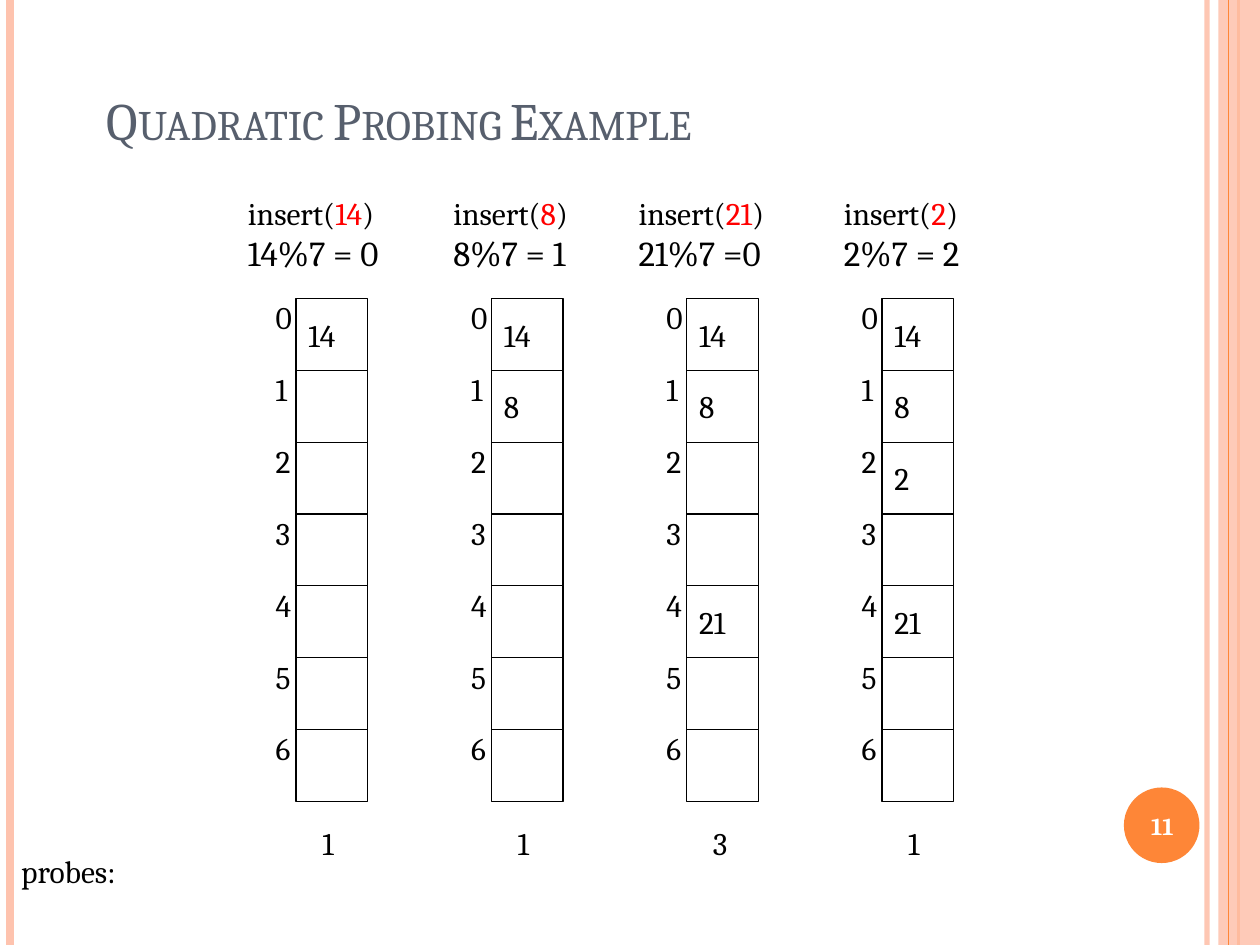
from lxml import etree
from pptx import Presentation
from pptx.dml.color import RGBColor
from pptx.enum.shapes import MSO_CONNECTOR, MSO_SHAPE
from pptx.enum.text import MSO_ANCHOR, MSO_AUTO_SIZE, PP_ALIGN
from pptx.oxml.ns import qn
from pptx.util import Inches, Pt

RECTANGLE, OVAL = MSO_SHAPE.RECTANGLE, MSO_SHAPE.OVAL
STRAIGHT = MSO_CONNECTOR.STRAIGHT
TOP, MIDDLE, BOTTOM = MSO_ANCHOR.TOP, MSO_ANCHOR.MIDDLE, MSO_ANCHOR.BOTTOM
LEFT, CENTER = PP_ALIGN.LEFT, PP_ALIGN.CENTER
NO_FIT, GROW = MSO_AUTO_SIZE.NONE, MSO_AUTO_SIZE.SHAPE_TO_FIT_TEXT

COLORS = {"peach": "FEC3AE", "orange": "FE8637", "slate": "575F6D",
          "black": "000000", "red": "FF0000", "white": "FFFFFF"}


class SlideBuilder:
    font_name = "Cambria"

    def __init__(self, slide):
        self.slide = slide

    def color(self, color_format, name):
        color_format.rgb = RGBColor.from_string(COLORS[name])

    def set_alpha(self, element, percent):
        for color in element.iter(qn("a:srgbClr")):
            etree.SubElement(color, qn("a:alpha"), val=str(percent * 1000))

    def vertical_line(self, x, color, width, alpha=100):
        line = self.slide.shapes.add_connector(
            STRAIGHT, Inches(x), Inches(0), Inches(x), Inches(7.5))
        self.color(line.line.color, color)
        line.line.width = Pt(width)
        properties = line._element.spPr
        etree.SubElement(properties, qn("a:effectLst"))
        if alpha < 100:
            self.set_alpha(properties, alpha)

    def shape(self, kind, box, fill=None, line=None, alpha=100):
        shape = self.slide.shapes.add_shape(kind, *map(Inches, box))
        shape.shadow.inherit = False
        if fill:
            shape.fill.solid()
            self.color(shape.fill.fore_color, fill)
            if alpha < 100:
                self.set_alpha(shape._element.spPr, alpha)
        else:
            shape.fill.background()
        if line:
            self.color(shape.line.color, line)
            shape.line.width = Pt(0.75)
        else:
            shape.line.fill.background()
        return shape

    def fill_text(self, shape, paragraphs, align=LEFT, **frame_format):
        """Each paragraph is a list of (text, size, color, extra font values)."""
        frame = shape.text_frame
        settings = {"word_wrap": False, "auto_size": NO_FIT,
                    "vertical_anchor": TOP, **frame_format}
        for name, value in settings.items():
            setattr(frame, name, value)
        for index, runs in enumerate(paragraphs):
            paragraph = frame.add_paragraph() if index else frame.paragraphs[0]
            paragraph.alignment = align
            for text, size, color, *extra in runs:
                run = paragraph.add_run()
                run.text = text
                values = {"name": self.font_name, "size": Pt(size)}
                for font_values in (values, *extra):
                    for name, value in font_values.items():
                        setattr(run.font, name, value)
                self.color(run.font.color, color)
        return frame

    def text(self, box, paragraphs, **text_format):
        shape = self.slide.shapes.add_textbox(*map(Inches, box))
        return self.fill_text(shape, paragraphs, **text_format)

    def label(self, box, text):
        self.text(box, [[(text, 18, "black")]], auto_size=GROW)

    def cell(self, box, value):
        shape = self.shape(RECTANGLE, box, line="black")
        if value is not None:
            self.fill_text(shape, [[(str(value), 18, "black")]],
                           vertical_anchor=MIDDLE)


presentation = Presentation()
presentation.slide_width, presentation.slide_height = Inches(10), Inches(7.5)
builder = SlideBuilder(presentation.slides.add_slide(presentation.slide_layouts[6]))

# Side decoration
builder.vertical_line(9.58, "peach", 3, alpha=93)
builder.vertical_line(0.08, "peach", 4.5)
builder.vertical_line(9.83, "orange", 1.5)
builder.shape(RECTANGLE, (9.67, 0, 0.33, 7.5), fill="peach", alpha=87)
builder.vertical_line(9.75, "orange", 0.75)

# Slide number
builder.shape(OVAL, (8.92, 6.25, 0.6, 0.6), fill="orange")
builder.text((8.89, 6.27, 0.67, 0.57), [[("11", 14, "white", {"bold": True})]],
             align=CENTER, vertical_anchor=MIDDLE, word_wrap=True)

# Title in small capitals
title = builder.text((0.75, 0, 8.5, 1.25),
                     [[("Quadratic Probing Example", 30, "slate")]],
                     vertical_anchor=BOTTOM, word_wrap=True)
title.paragraphs[0].runs[0]._r.get_or_add_rPr().set("cap", "small")

builder.label((0.07, 6.71, 1.18, 0.5), "probes:")

# Hash tables: inserted key, remainder text, filled cells, probe count
TABLES = [
    (14, "14%7 = 0", {0: 14}, 1),
    (8, "8%7 = 1", {0: 14, 1: 8}, 1),
    (21, "21%7 =0", {0: 14, 1: 8, 4: 21}, 3),
    (2, "2%7 = 2", {0: 14, 1: 8, 2: 2, 4: 21}, 1),
]
TABLE_LEFT, TABLE_TOP, TABLE_STEP = 2.35, 2.37, 1.55
CELL_SIZE, ROWS = 0.57, 7

for column, (key, remainder, filled, probes) in enumerate(TABLES):
    left = TABLE_LEFT + column * TABLE_STEP
    header_shift, header_width = (0.48, 1.5) if key > 9 else (0.4, 1.33)
    builder.text(
        (left - header_shift, 1.49, header_width, 0.83),
        [[("insert(", 18, "black"), (str(key), 18, "red"), (")", 18, "black")],
         [(remainder, 20, "black")]],
        auto_size=GROW)
    for row in range(ROWS):
        top = TABLE_TOP + row * CELL_SIZE
        builder.cell((left, top, CELL_SIZE, CELL_SIZE), filled.get(row))
        builder.label((left - 0.26, top - 0.05, 0.33, 0.4), str(row))
    builder.label((left + 0.11, 6.49, 0.37, 0.5), str(probes))

presentation.save("out.pptx")
